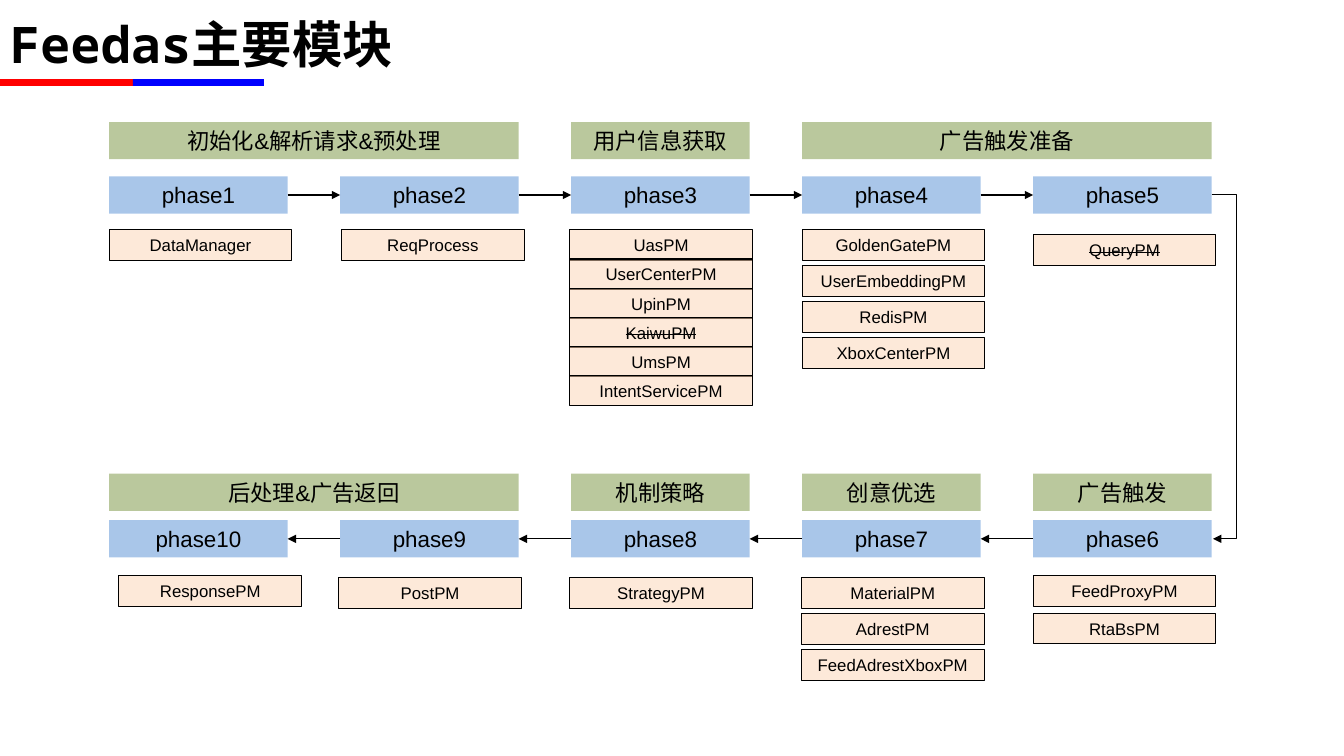
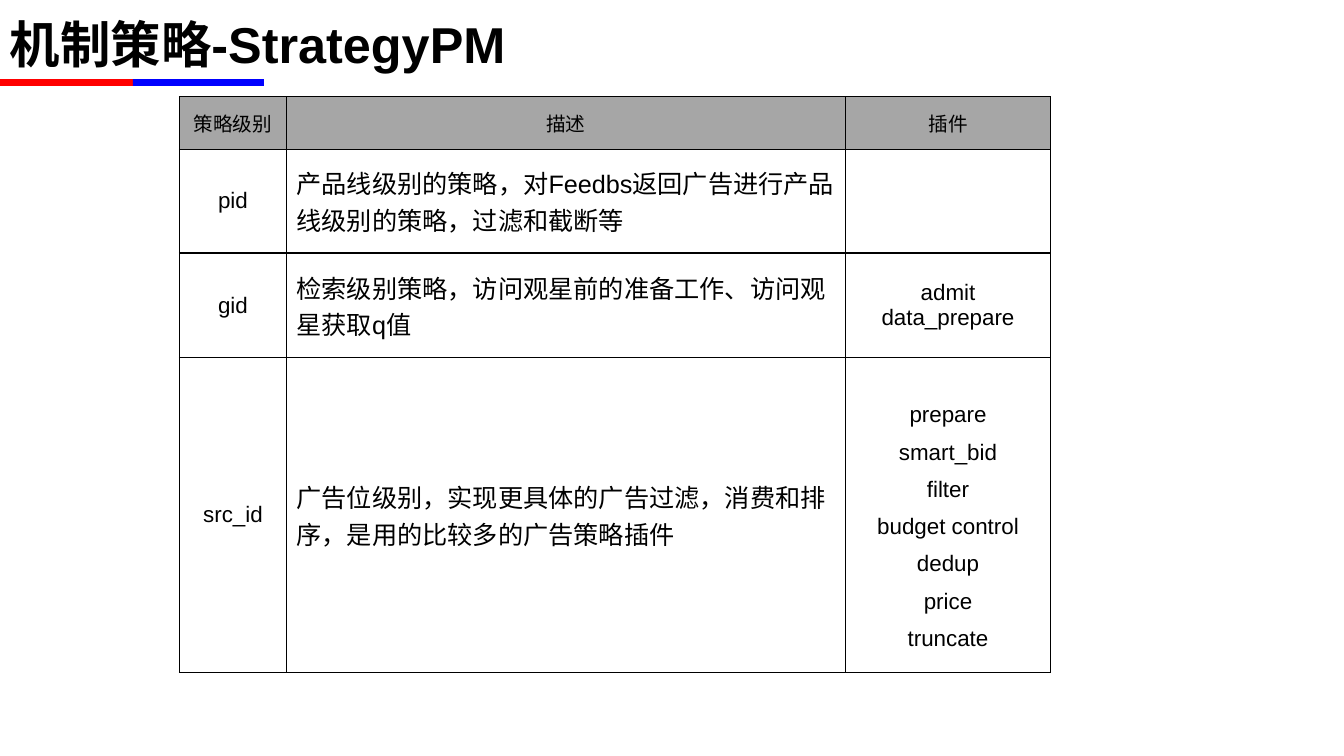
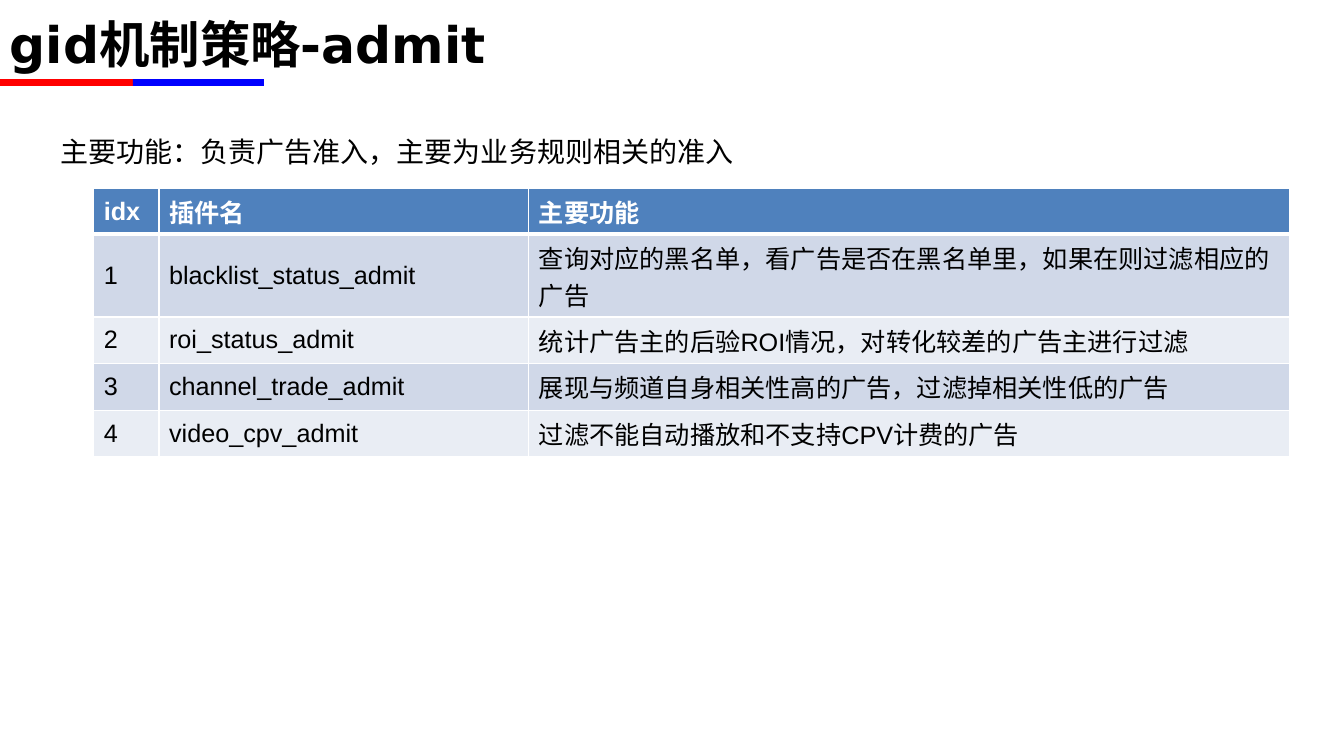
from lxml import etree
from pptx import Presentation
from pptx.dml.color import RGBColor
from pptx.enum.shapes import MSO_CONNECTOR, MSO_SHAPE
from pptx.enum.text import MSO_ANCHOR, PP_ALIGN
from pptx.oxml.ns import qn
from pptx.util import Pt

RECTANGLE = MSO_SHAPE.RECTANGLE
STRAIGHT, ELBOW = MSO_CONNECTOR.STRAIGHT, MSO_CONNECTOR.ELBOW
MIDDLE, TOP = MSO_ANCHOR.MIDDLE, MSO_ANCHOR.TOP
LEFT, CENTER = PP_ALIGN.LEFT, PP_ALIGN.CENTER
SIDE_LEFT, SIDE_RIGHT = 1, 3

COLORS = {
    "black": "000000", "white": "FFFFFF", "red": "FF0000", "blue": "0000FF",
    "stage": "77933C", "phase": "558ED5", "module": "FCD5B5",
    "grey": "A6A6A6", "header": "4F81BD", "band_dark": "D0D8E8", "band_light": "E9EDF4",
}
SLIDE_SIZE = (960, 540)
TITLE_BOX = (0, 0, 864, 61.2)
BANDS = [("red", (0, 56.5, 95, 5)), ("blue", (95, 56.5, 93.6, 5))]

COLUMN_STEP, PHASE_WIDTH, PHASE_HEIGHT = 165, 127.5, 26.6
MODULE_WIDTH, MODULE_HEIGHT = 130.5, 21.8
FLOW_LEFT = 78

FLOW_ROWS = [
    {
        "stage_top": 87.2, "phase_top": 126,
        "stages": [("初始化&解析请求&预处理", 0, 2), ("用户信息获取", 2, 1), ("广告触发准备", 3, 2)],
        "phases": [
            ("phase1", 0, 0, 164.2, 0, ["DataManager"]),
            ("phase2", 1, 1, 164.2, 0, ["ReqProcess"]),
            ("phase3", 2, -1, 164.2, 20.8,
             ["UasPM", "UserCenterPM", "UpinPM", "KaiwuPM", "UmsPM", "IntentServicePM"]),
            ("phase4", 3, 0, 164.2, 25.7,
             ["GoldenGatePM", "UserEmbeddingPM", "RedisPM", "XboxCenterPM"]),
            ("phase5", 4, 0, 167.8, 0, ["QueryPM"]),
        ],
    },
    {
        "stage_top": 338.4, "phase_top": 371.6,
        "stages": [("广告触发", 4, 1), ("创意优选", 3, 1), ("机制策略", 2, 1), ("后处理&广告返回", 0, 2)],
        "phases": [
            ("phase6", 4, 0, 411.1, 26.8, ["FeedProxyPM", "RtaBsPM"]),
            ("phase7", 3, -0.5, 412.6, 25.8, ["MaterialPM", "AdrestPM", "FeedAdrestXboxPM"]),
            ("phase8", 2, -1, 412.6, 0, ["StrategyPM"]),
            ("phase9", 1, -1, 412.6, 0, ["PostPM"]),
            ("phase10", 0, 7, 411.1, 0, ["ResponsePM"]),
        ],
    },
]
RETIRED = {"KaiwuPM", "QueryPM"}

STRATEGY_ROWS = [
    ["策略级别", "描述", "插件"],
    ["pid", "产品线级别的策略，对Feedbs返回广告进行产品线级别的策略，过滤和截断等", ""],
    ["gid", "检索级别策略，访问观星前的准备工作、访问观星获取q值", "admit\ndata_prepare"],
    ["src_id", "广告位级别，实现更具体的广告过滤，消费和排序，是用的比较多的广告策略插件",
     "prepare\nsmart_bid\nfilter\nbudget control\ndedup\nprice\ntruncate"],
]
ADMIT_ROWS = [
    ["idx", "插件名", "主要功能"],
    ["1", "blacklist_status_admit", "查询对应的黑名单，看广告是否在黑名单里，如果在则过滤相应的广告"],
    ["2", "roi_status_admit", "统计广告主的后验ROI情况，对转化较差的广告主进行过滤"],
    ["3", "channel_trade_admit", "展现与频道自身相关性高的广告，过滤掉相关性低的广告"],
    ["4", "video_cpv_admit", "过滤不能自动播放和不支持CPV计费的广告"],
]


def rgb(name):
    """Return the named colour."""
    return RGBColor.from_string(COLORS[name])


def points(values):
    """Turn numbers into point lengths."""
    return [Pt(value) for value in values]


def write(frame, text, size, font="Arial", color="black", bold=False, align=LEFT,
          spacing=None, strike=False):
    """Fill a text frame with one paragraph for each line of text."""
    styles = {"name": font, "size": Pt(size), "bold": bold}
    for index, line in enumerate(text.split("\n")):
        para = frame.add_paragraph() if index else frame.paragraphs[0]
        for name, value in {"alignment": align, "line_spacing": spacing}.items():
            setattr(para, name, value)
        span = para.add_run()
        span.text = line
        for name, value in styles.items():
            setattr(span.font, name, value)
        span.font.color.rgb = rgb(color)
        if strike:
            span._r.get_or_add_rPr().set("strike", "sngStrike")


def add_rectangle(page, box, color, alpha=None, outlined=False):
    """Draw a rectangle, see-through or outlined on request."""
    shape = page.shapes.add_shape(RECTANGLE, *points(box))
    shape.shadow.inherit = False
    shape.fill.solid()
    shape.fill.fore_color.rgb = rgb(color)
    if alpha:
        fill = shape._element.spPr.find(qn("a:solidFill"))
        etree.SubElement(fill[0], qn("a:alpha"), val=str(alpha * 1000))
    if outlined:
        shape.line.color.rgb = rgb("black")
        shape.line.width = Pt(0.75)
    else:
        shape.line.fill.background()
    return shape


def add_label(page, box, text, color, size=16, outlined=False, strike=False):
    """Draw a half-transparent rectangle with centred text."""
    shape = add_rectangle(page, box, color, 50, outlined)
    shape.text_frame.word_wrap = True
    shape.text_frame.vertical_anchor = MIDDLE
    write(shape.text_frame, text, size, align=CENTER, strike=strike)
    return shape


def add_text(page, box, text, size, anchor=TOP, **style):
    """Place a wrapping text box."""
    frame = page.shapes.add_textbox(*points(box)).text_frame
    frame.word_wrap = True
    frame.vertical_anchor = anchor
    write(frame, text, size, **style)


def add_arrow(page, kind, ends):
    """Draw a thin black arrow without a shadow."""
    arrow = page.shapes.add_connector(kind, *points(ends))
    arrow.line.color.rgb = rgb("black")
    arrow.line.width = Pt(0.75)
    etree.SubElement(arrow.line._get_or_add_ln(), qn("a:tailEnd"), type="triangle")
    etree.SubElement(arrow._element.spPr, qn("a:effectLst"))
    return arrow


def add_page(deck, title, font):
    """Add a blank page with its title and the two-colour band."""
    page = deck.slides.add_slide(deck.slide_layouts[6])
    for color, box in BANDS:
        add_rectangle(page, box, color)
    add_text(page, TITLE_BOX, title, 36, MIDDLE, font=font, bold=True)
    return page


def set_borders(cell, color, widths):
    """Set left, right, top and bottom borders of a cell."""
    properties = cell._tc.get_or_add_tcPr()
    for side, width in zip("LRTB", widths):
        line = etree.SubElement(properties, qn(f"a:ln{side}"), w=str(Pt(width)))
        fill = etree.SubElement(line, qn("a:solidFill"))
        etree.SubElement(fill, qn("a:srgbClr"), val=COLORS[color])


def add_grid(page, corner, widths, heights, rows, border, style, header_rule=1):
    """Build a table whose cell formats come from style(row, column)."""
    box = (*corner, sum(widths), sum(heights))
    table = page.shapes.add_table(len(rows), len(widths), *points(box)).table
    table.first_row = table.horz_banding = False
    for sizes, lines, name in ((widths, table.columns, "width"), (heights, table.rows, "height")):
        for size, line in zip(sizes, lines):
            setattr(line, name, Pt(size))
    for row, texts in enumerate(rows):
        for column, text in enumerate(texts):
            cell = table.cell(row, column)
            fill, top_margin, text_style = style(row, column)
            top = header_rule if row == 1 else 1
            bottom = header_rule if row == 0 else 1
            set_borders(cell, border, (1, 1, top, bottom))
            if fill:
                cell.fill.solid()
                cell.fill.fore_color.rgb = rgb(fill)
            else:
                cell.fill.background()
            cell.vertical_anchor = MIDDLE
            cell.margin_top = Pt(top_margin)
            if text:
                write(cell.text_frame, text, **text_style)


def strategy_style(row, column):
    """Format a cell of the strategy table."""
    if row == 0:
        return "grey", 3.6, {"size": 14, "align": CENTER}
    if column == 1:
        return None, 3.6, {"size": 18}
    tall = (row, column) == (3, 2)
    return None, 11.6 if tall else 3.6, {
        "size": 16, "align": CENTER, "spacing": 1.5 if tall else None}


def admit_style(row, column):
    """Format a cell of the admit table."""
    if row == 0:
        return "header", 3.6, {"size": 18, "color": "white", "bold": True}
    return "band_dark" if row % 2 else "band_light", 3.6, {"size": 18}


def add_flow_row(page, left, row):
    """Place the stages, phases and modules of one row and return the phases."""
    for text, column, count in row["stages"]:
        width = PHASE_WIDTH + COLUMN_STEP * (count - 1)
        box = (left + COLUMN_STEP * column, row["stage_top"], width, PHASE_HEIGHT)
        add_label(page, box, text, "stage")
    phases = []
    for name, column, shift, top, pitch, modules in row["phases"]:
        x = left + COLUMN_STEP * column
        box = (x, row["phase_top"], PHASE_WIDTH, PHASE_HEIGHT)
        phases.append(add_label(page, box, name, "phase"))
        for index, module in enumerate(modules):
            box = (x + shift, top + pitch * index, MODULE_WIDTH, MODULE_HEIGHT)
            add_label(page, box, module, "module", 12, True, module in RETIRED)
    return phases


def join_phases(page, phases, sides):
    """Link neighbouring phases with arrows."""
    for source, target in zip(phases, phases[1:]):
        arrow = add_arrow(page, STRAIGHT, (0, 0, 0, 0))
        arrow.begin_connect(source, sides[0])
        arrow.end_connect(target, sides[1])


def add_turn(page, left):
    """Draw the arrow that turns from the first row down to the second."""
    right = left + COLUMN_STEP * 4 + PHASE_WIDTH
    start, end = [row["phase_top"] + PHASE_HEIGHT / 2 for row in FLOW_ROWS]
    arrow = add_arrow(page, ELBOW, (right, start, right + 1, end))
    guides = arrow._element.spPr.find(qn("a:prstGeom")).get_or_add_avLst()
    etree.SubElement(guides, qn("a:gd"), name="adj1", fmla="val 1800000")


def build_modules(deck):
    """Build the page with the flow of modules."""
    page = add_page(deck, "Feedas主要模块", "Noto Sans Mono")
    for row, sides in zip(FLOW_ROWS, ((SIDE_RIGHT, SIDE_LEFT), (SIDE_LEFT, SIDE_RIGHT))):
        join_phases(page, add_flow_row(page, FLOW_LEFT, row), sides)
    add_turn(page, FLOW_LEFT)


def build_strategy(deck):
    """Build the page with the strategy levels."""
    page = add_page(deck, "机制策略-StrategyPM", "Arial")
    add_grid(page, (128.2, 69.1), (76.4, 399.4, 146.4), (37.4, 74.2, 74.8, 225),
             STRATEGY_ROWS, "black", strategy_style)


def build_admit(deck):
    """Build the page with the admit plugins."""
    page = add_page(deck, "gid机制策略-admit", "DejaVu Sans")
    add_text(page, (36, 80.6, 888, 50), "主要功能：负责广告准入，主要为业务规则相关的准入", 20,
             spacing=1.5)
    add_grid(page, (67, 134.8), (46.6, 264.2, 543.6), (32.6, 59, 33.3, 33.3, 33.3),
             ADMIT_ROWS, "white", admit_style, 3)


def main():
    """Build and save the deck."""
    deck = Presentation()
    deck.slide_width, deck.slide_height = points(SLIDE_SIZE)
    for build in (build_modules, build_strategy, build_admit):
        build(deck)
    deck.save("out.pptx")


if __name__ == "__main__":
    main()
